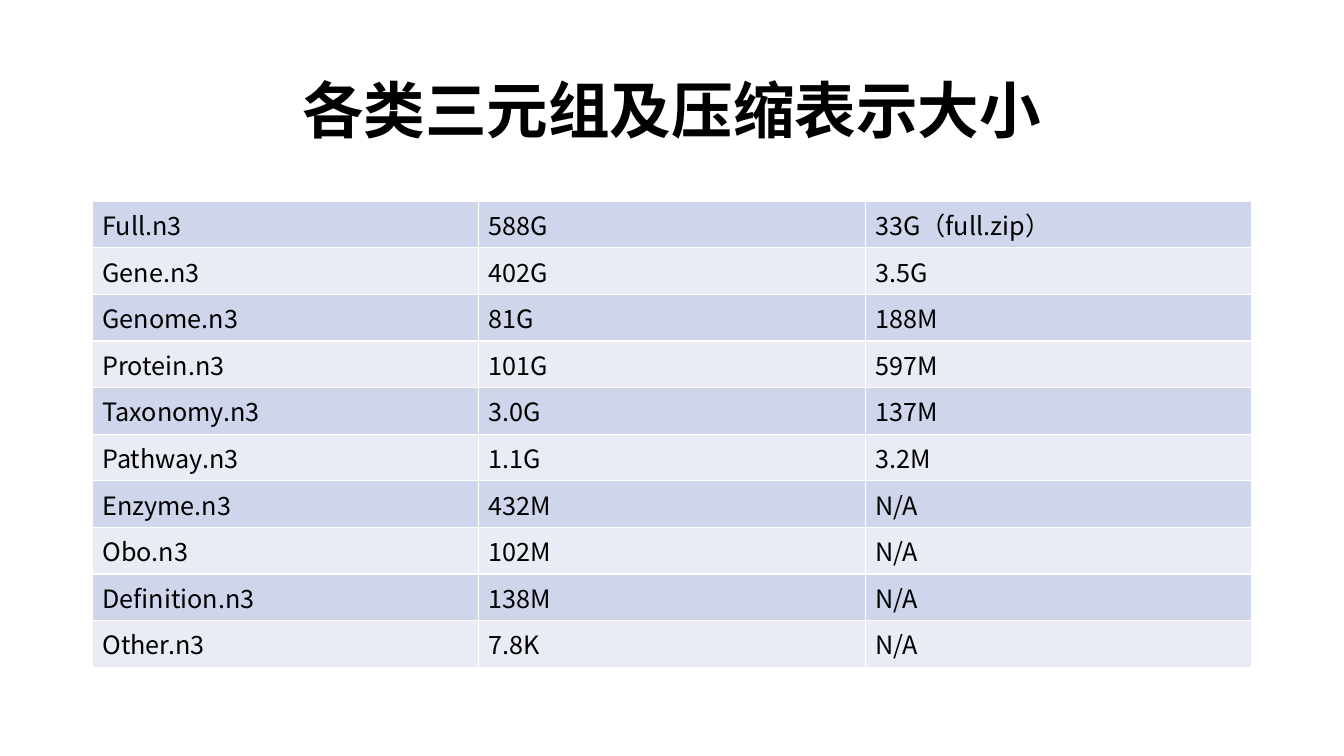
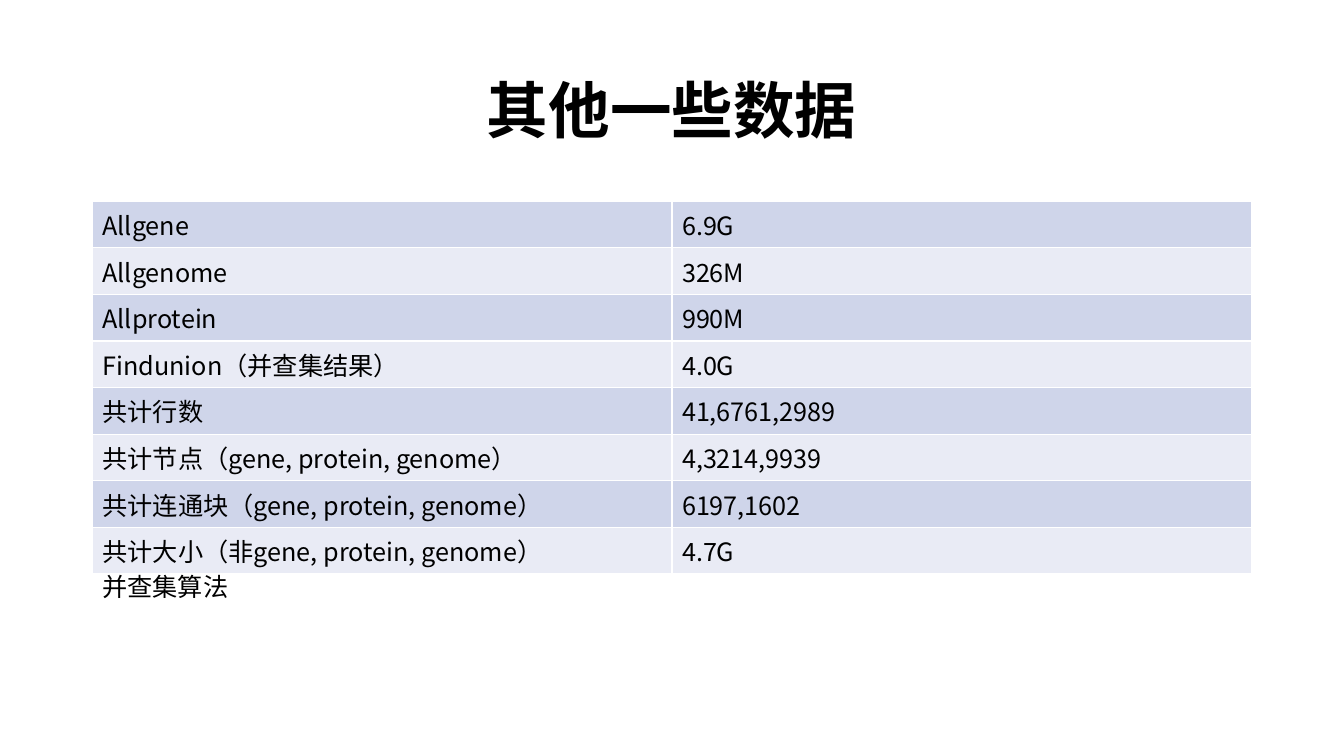
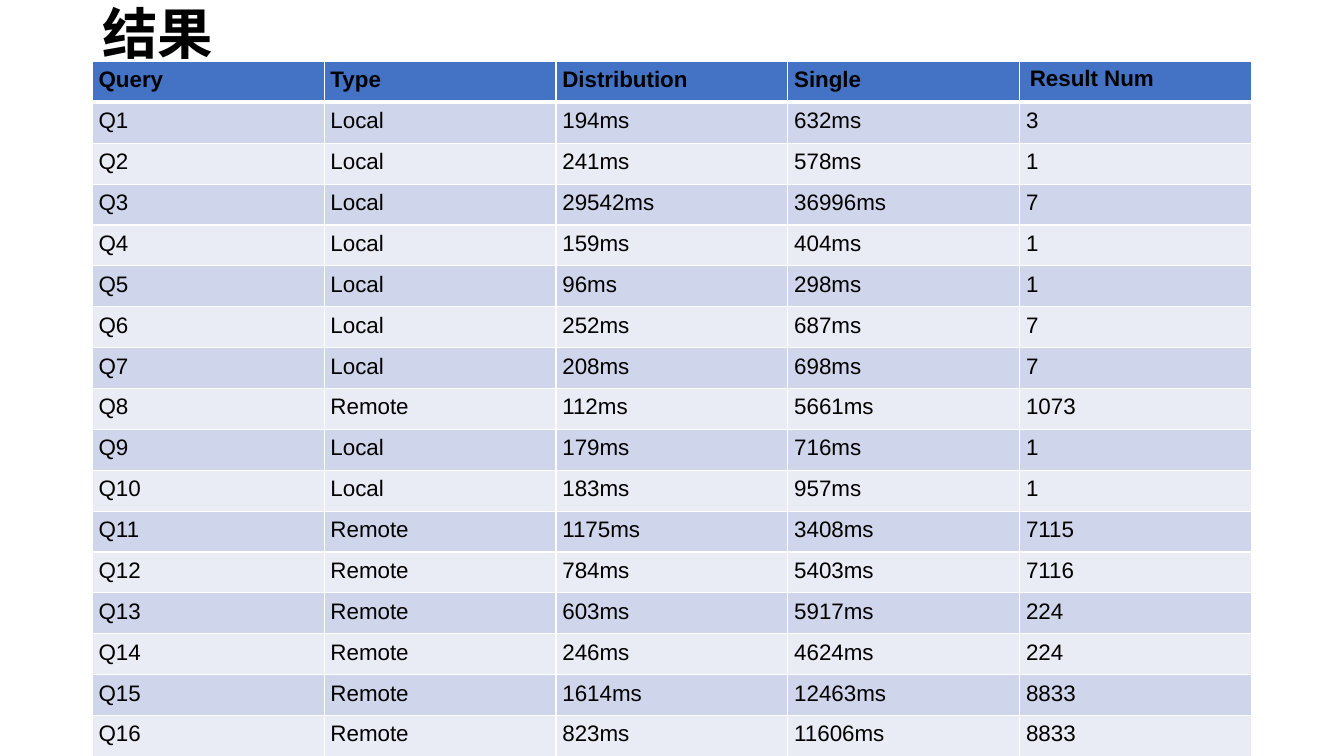
from lxml.etree import SubElement
from pptx import Presentation
from pptx.dml.color import RGBColor
from pptx.enum.text import MSO_ANCHOR, MSO_AUTO_SIZE, PP_ALIGN
from pptx.oxml import parse_xml
from pptx.oxml.ns import nsdecls, qn
from pptx.util import Pt

CJK_FONT, LATIN_FONT = "Noto Sans CJK SC", "Arial"
BLACK, WHITE = "000000", "FFFFFF"
HEADER_FILL = "4472C4"
BAND_FILLS = ("CFD5EA", "E9EBF5")
LEFT, WIDTH = 66, 828
ROW_HEIGHT = 29.2
TABLE_TOP = 143.75
THIN, THICK = 1, 3
TIGHT_INSET = 4.5

TRIPLE_SIZES = [
    ("Full.n3", "588G", "33G（full.zip）"),
    ("Gene.n3", "402G", "3.5G"),
    ("Genome.n3", "81G", "188M"),
    ("Protein.n3", "101G", "597M"),
    ("Taxonomy.n3", "3.0G", "137M"),
    ("Pathway.n3", "1.1G", "3.2M"),
    ("Enzyme.n3", "432M", "N/A"),
    ("Obo.n3", "102M", "N/A"),
    ("Definition.n3", "138M", "N/A"),
    ("Other.n3", "7.8K", "N/A"),
]

OTHER_DATA = [
    ("Allgene", "6.9G"),
    ("Allgenome", "326M"),
    ("Allprotein", "990M"),
    ("Findunion（并查集结果）", "4.0G"),
    ("共计行数", "41,6761,2989"),
    ("共计节点（gene, protein, genome）", "4,3214,9939"),
    ("共计连通块（gene, protein, genome）", "6197,1602"),
    ("共计大小（非gene, protein, genome）", "4.7G"),
]

QUERY_HEADER = ("Query", "Type", "Distribution", "Single", "Result Num")
QUERY_RESULTS = [
    ("Q1", "Local", "194ms", "632ms", "3"),
    ("Q2", "Local", "241ms", "578ms", "1"),
    ("Q3", "Local", "29542ms", "36996ms", "7"),
    ("Q4", "Local", "159ms", "404ms", "1"),
    ("Q5", "Local", "96ms", "298ms", "1"),
    ("Q6", "Local", "252ms", "687ms", "7"),
    ("Q7", "Local", "208ms", "698ms", "7"),
    ("Q8", "Remote", "112ms", "5661ms", "1073"),
    ("Q9", "Local", "179ms", "716ms", "1"),
    ("Q10", "Local", "183ms", "957ms", "1"),
    ("Q11", "Remote", "1175ms", "3408ms", "7115"),
    ("Q12", "Remote", "784ms", "5403ms", "7116"),
    ("Q13", "Remote", "603ms", "5917ms", "224"),
    ("Q14", "Remote", "246ms", "4624ms", "224"),
    ("Q15", "Remote", "1614ms", "12463ms", "8833"),
    ("Q16", "Remote", "823ms", "11606ms", "8833"),
]


def color(hex_string):
    return RGBColor.from_string(hex_string)


def write_text(text_frame, text, size=18, font=CJK_FONT, bold=False,
               align=PP_ALIGN.LEFT, line_spacing=None):
    paragraph = text_frame.paragraphs[0]
    paragraph.alignment = align
    paragraph.line_spacing = line_spacing
    run = paragraph.add_run()
    run.text = text
    run.font.size = Pt(size)
    run.font.bold = bold
    run.font.color.rgb = color(BLACK)
    run.font.name = font
    SubElement(run.font._element, qn("a:ea"), typeface=font)


def add_text_box(slide, text, top, height, anchor=MSO_ANCHOR.TOP, **text_format):
    shape = slide.shapes.add_textbox(Pt(LEFT), Pt(top), Pt(WIDTH), Pt(height))
    text_frame = shape.text_frame
    text_frame.word_wrap = True
    text_frame.auto_size = MSO_AUTO_SIZE.NONE
    text_frame.vertical_anchor = anchor
    write_text(text_frame, text, **text_format)


def add_title(slide, text, top=28.75, height=104.4, size=44, align=PP_ALIGN.CENTER):
    add_text_box(slide, text, top, height, MSO_ANCHOR.MIDDLE,
                 size=size, bold=True, align=align, line_spacing=0.9)


def set_borders(cell, top=THIN, bottom=THIN):
    properties = cell._tc.get_or_add_tcPr()
    widths = {"lnL": THIN, "lnR": THIN, "lnT": top, "lnB": bottom}
    for position, (side, width) in enumerate(widths.items()):
        properties.insert(position, parse_xml(
            f'<a:{side} {nsdecls("a")} w="{Pt(width)}"><a:solidFill>'
            f'<a:srgbClr val="{WHITE}"/></a:solidFill></a:{side}>'))


def set_insets(cell, inset):
    cell.margin_left = cell.margin_right = Pt(inset)
    cell.margin_top = cell.margin_bottom = Pt(inset)


def add_banded_table(slide, rows, top, header=None, inset=None, **text_format):
    """Add a table of equal columns; an optional header row goes on top."""
    all_rows = [header, *rows] if header else rows
    header_count = len(all_rows) - len(rows)
    column_count = len(rows[0])
    table = slide.shapes.add_table(
        len(all_rows), column_count, Pt(LEFT), Pt(top),
        Pt(WIDTH), Pt(ROW_HEIGHT * len(all_rows))).table
    table.first_row = bool(header)
    for column in table.columns:
        column.width = Pt(WIDTH / column_count)
    for row_index, values in enumerate(all_rows):
        table.rows[row_index].height = Pt(ROW_HEIGHT)
        is_header = row_index < header_count
        below_header = header_count > 0 and row_index == header_count
        fill = HEADER_FILL if is_header else BAND_FILLS[(row_index - header_count) % 2]
        for column_index, value in enumerate(values):
            cell = table.cell(row_index, column_index)
            cell.fill.solid()
            cell.fill.fore_color.rgb = color(fill)
            set_borders(cell, top=THICK if below_header else THIN,
                        bottom=THICK if is_header else THIN)
            # The last header cell keeps the default insets.
            if inset and not (is_header and column_index == column_count - 1):
                set_insets(cell, inset)
            write_text(cell.text_frame, value, bold=is_header, **text_format)


def main():
    presentation = Presentation()
    presentation.slide_width, presentation.slide_height = Pt(960), Pt(540)
    blank_layout = presentation.slide_layouts[6]

    slide = presentation.slides.add_slide(blank_layout)
    add_title(slide, "各类三元组及压缩表示大小")
    add_banded_table(slide, TRIPLE_SIZES, TABLE_TOP)

    slide = presentation.slides.add_slide(blank_layout)
    add_title(slide, "其他一些数据")
    add_banded_table(slide, OTHER_DATA, TABLE_TOP)
    add_text_box(slide, "并查集算法", top=404.6, height=29)

    slide = presentation.slides.add_slide(blank_layout)
    add_title(slide, "结果", top=9.4, height=33.8, size=39.6, align=PP_ALIGN.LEFT)
    add_banded_table(slide, QUERY_RESULTS, top=43.9, header=QUERY_HEADER,
                     inset=TIGHT_INSET, size=16, font=LATIN_FONT)

    presentation.save("out.pptx")


if __name__ == "__main__":
    main()
